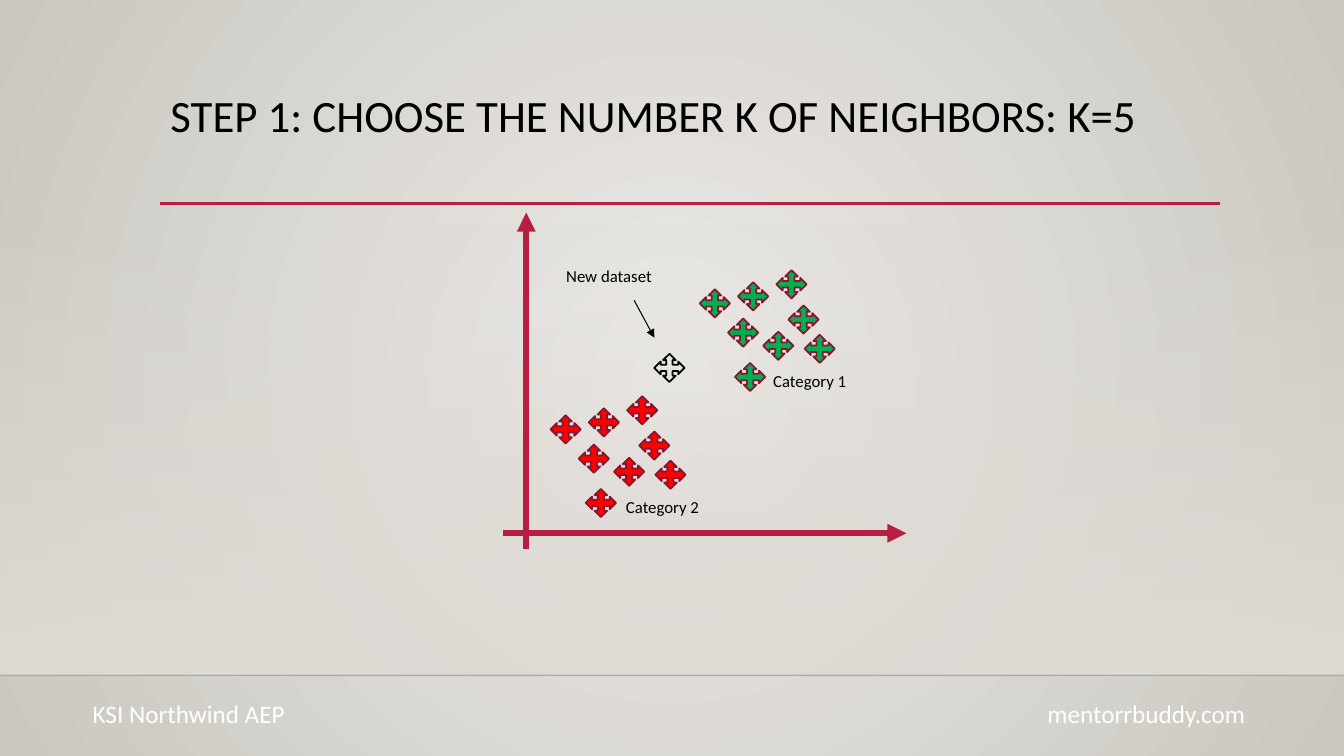
from dataclasses import dataclass

from lxml.etree import SubElement
from pptx import Presentation
from pptx.dml.color import RGBColor
from pptx.enum.shapes import MSO_CONNECTOR, MSO_SHAPE
from pptx.enum.text import MSO_ANCHOR, PP_ALIGN
from pptx.oxml.ns import qn
from pptx.shapes.autoshape import Shape
from pptx.slide import Slide
from pptx.text.text import TextFrame
from pptx.util import Inches, Pt

# The slide is a grid of square cells, all places are (column, row)
COLS, ROWS = 1333, 750
CELL = Inches(0.01)
FONT = "Calibri"
COLORS = {
    "glow": "ECEAE7", "edge": "CAC7C1", "band": "DFDBD5",
    "accent": "B71E42", "rim": "871631", "red": "FF0000",
    "green": "00B050", "black": "000000", "white": "FFFFFF",
}
MARK = (30, 28)
CLUSTER = [(546, 412), (609, 454), (574, 441), (584, 405),
           (622, 393), (581, 485), (634, 428), (650, 457)]


@dataclass
class Label:
    text: str
    box: tuple[int, int, int, int]
    size: int = 12
    color: str = "black"
    align: PP_ALIGN = PP_ALIGN.LEFT


@dataclass
class Line:
    start: tuple[int, int]
    end: tuple[int, int]
    width: float
    color: str = "accent"
    arrow: bool = True
    alpha: int = 100


@dataclass
class Group:
    color: str
    shift: tuple[int, int]


RULES = [
    Line((0, 670), (COLS, 670), 1, "black", False, 20),
    Line((159, 202), (1210, 202), 2.5, arrow=False),
]
ARROWS = [
    Line((522, 545), (522, 211), 4.5),
    Line((499, 529), (899, 529), 4.5),
    Line((629, 298), (649, 335), 0.75, "black"),
]
GROUPS = [Group("red", (0, 0)), Group("green", (148, -125))]
LABELS = [
    Label("KSI Northwind AEP", (82, 688, 222, 40), 18, "white"),
    Label("mentorrbuddy.com", (1029, 688, 222, 40), 18, "white"),
    Label("Category 1", (757, 363, 101, 30)),
    Label("Category 2", (611, 488, 101, 30)),
    Label("New dataset", (544, 259, 120, 30), align=PP_ALIGN.CENTER),
]


def rgb(name: str) -> RGBColor:
    return RGBColor.from_string(COLORS[name])


def cells(*counts: int) -> list[int]:
    return [count * CELL for count in counts]


def fade(color, share: int) -> None:
    """Set the opacity, in percent, of an a:srgbClr element."""
    SubElement(color, qn("a:alpha"), val=str(share * 1000))


def paint(slide: Slide) -> None:
    """Fill the background with a glow from the centre outwards."""
    fill = slide.background.fill
    fill.gradient()
    for stop, name in zip(fill.gradient_stops, ("glow", "edge")):
        stop.color.rgb = rgb(name)
    grad = slide.element.find(".//" + qn("a:gradFill"))
    grad.remove(grad.find(qn("a:lin")))
    ring = SubElement(grad, qn("a:path"), path="circle")
    SubElement(ring, qn("a:fillToRect"),
               {side: "50000" for side in "ltrb"})


def add_band(slide: Slide) -> None:
    band = slide.shapes.add_shape(MSO_SHAPE.RECTANGLE,
                                  *cells(0, 221, COLS, 449))
    band.shadow.inherit = False
    band.line.fill.background()
    band.fill.gradient()
    band.fill.gradient_angle = 270
    for stop in band.fill.gradient_stops:
        stop.color.rgb = rgb("band")
    fade(band.element.find(".//" + qn("a:srgbClr")), 0)


def add_line(slide: Slide, line: Line) -> None:
    link = slide.shapes.add_connector(MSO_CONNECTOR.STRAIGHT,
                                      *cells(*line.start, *line.end))
    link.line.width = Pt(line.width)
    link.line.color.rgb = rgb(line.color)
    props = link.element.spPr
    if line.alpha < 100:
        fade(props.find(".//" + qn("a:srgbClr")), line.alpha)
    if line.arrow:
        SubElement(props.find(qn("a:ln")), qn("a:tailEnd"), type="triangle")
    SubElement(props, qn("a:effectLst"))


def add_mark(slide: Slide, col: int, row: int, rim: str) -> Shape:
    mark = slide.shapes.add_shape(MSO_SHAPE.QUAD_ARROW,
                                  *cells(col, row, *MARK))
    mark.shadow.inherit = False
    mark.fill.background()
    mark.line.color.rgb = rgb(rim)
    mark.line.width = Pt(1.25)
    return mark


def write(frame: TextFrame, label: Label) -> None:
    frame.word_wrap = True
    frame.vertical_anchor = MSO_ANCHOR.TOP
    para = frame.paragraphs[0]
    para.alignment = label.align
    run = para.add_run()
    run.text = label.text
    run.font.name = FONT
    run.font.size = Pt(label.size)
    run.font.color.rgb = rgb(label.color)


def add_title(slide: Slide, label: Label) -> None:
    title = slide.shapes.title
    title.left, title.top, title.width, title.height = cells(*label.box)
    write(title.text_frame, label)
    title.text_frame.paragraphs[0].line_spacing = 0.9


def main() -> None:
    deck = Presentation()
    deck.slide_width, deck.slide_height = cells(COLS, ROWS)
    slide = deck.slides.add_slide(deck.slide_layouts[5])
    paint(slide)
    add_band(slide)
    add_title(slide, Label("STEP 1: CHOOSE THE NUMBER K OF NEIGHBORS: K=5",
                           (159, 88, 1050, 115), 32))
    for line in RULES + ARROWS:
        add_line(slide, line)
    for group in GROUPS:
        right, down = group.shift
        for col, row in CLUSTER:
            mark = add_mark(slide, col + right, row + down, "rim")
            mark.fill.solid()
            mark.fill.fore_color.rgb = rgb(group.color)
    add_mark(slide, 649, 351, "black")
    for label in LABELS:
        box = slide.shapes.add_textbox(*cells(*label.box))
        write(box.text_frame, label)
    deck.save("out.pptx")


if __name__ == "__main__":
    main()
